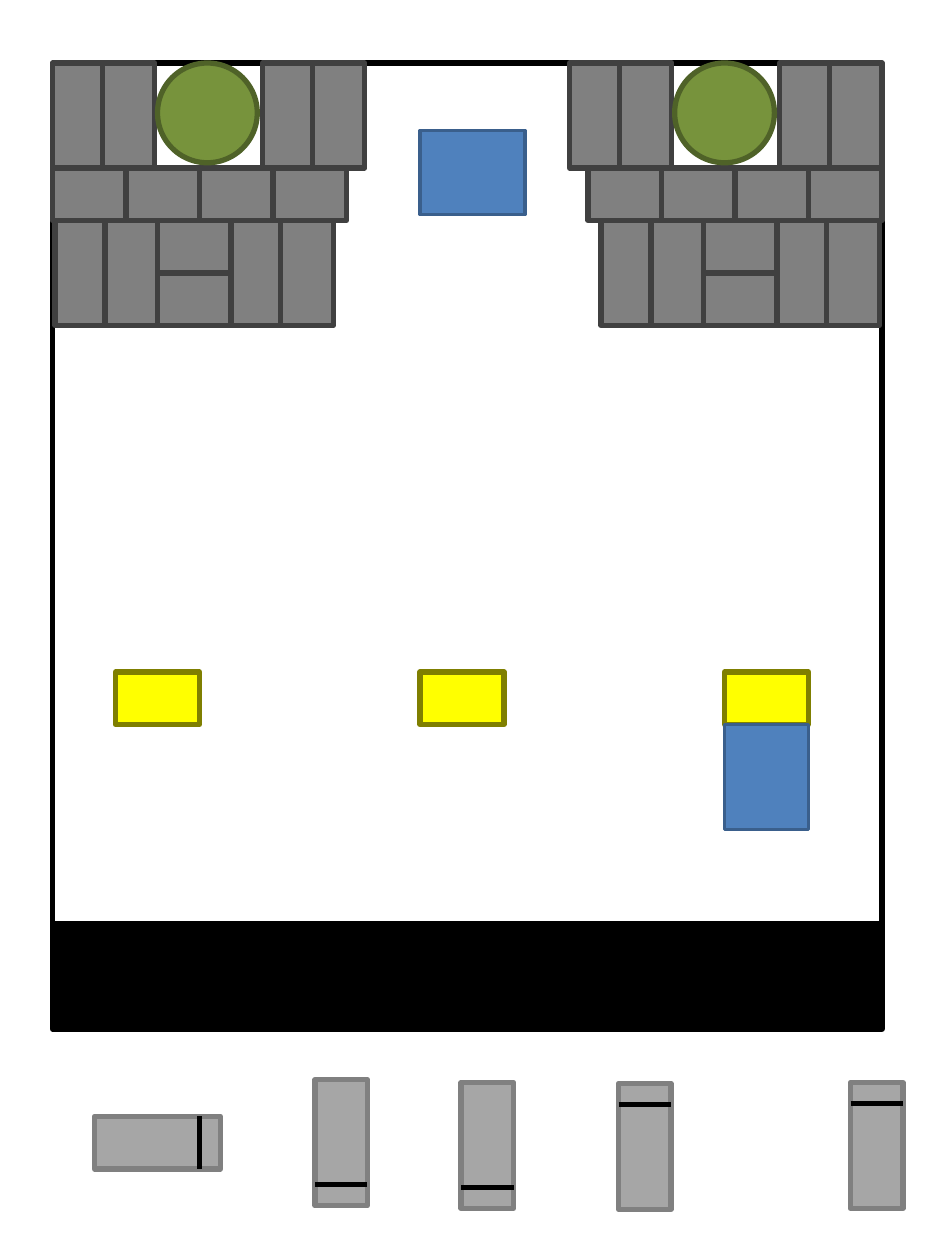
"""Build a floor plan with stone walls, trees, tables and loose benches."""
from lxml.etree import SubElement
from pptx import Presentation
from pptx.dml.color import RGBColor
from pptx.enum.shapes import MSO_CONNECTOR as Connector, MSO_SHAPE as Shape
from pptx.oxml.ns import qn
from pptx.util import Pt

BLACK = RGBColor(0x00, 0x00, 0x00)
STONE = RGBColor(0x80, 0x80, 0x80), RGBColor(0x40, 0x40, 0x40)
BENCH = RGBColor(0xA6, 0xA6, 0xA6), RGBColor(0x80, 0x80, 0x80)
TREE = RGBColor(0x77, 0x93, 0x3C), RGBColor(0x4F, 0x62, 0x28)
YELLOW = RGBColor(0xFF, 0xFF, 0x00), RGBColor(0x7F, 0x7F, 0x00)
BLUE = RGBColor(0x4F, 0x81, 0xBD), RGBColor(0x3A, 0x5F, 0x8C)
FLOOR = BLACK, BLACK

LEFT, RIGHT, TOP, BOTTOM = 30, 504, 36, 588
SHORT, LONG, BRICK, TREE_SIZE = 30, 60, 42, 57
BENCH_LENGTH, TABLE_WIDTH = 72, 48
STRIPE_GAP = 12

ROOM_EDGES = [
    (LEFT, TOP, RIGHT, TOP),
    (LEFT, TOP, LEFT, BOTTOM),
    (RIGHT, TOP, RIGHT, BOTTOM),
]
TABLE_LEFTS = [66, 240, 414]
TABLE_TOP = 384
FLAT_BENCH = (54, 638)
UPRIGHT_BENCHES = [
    (195, 653, "bottom"),
    (278.5, 654.5, "bottom"),
    (368.5, 655, "top"),
    (501, 654.5, "top"),
]
UPPER_STONES, UPPER_TREE, UPPER_SHIFT = [30, 58.5, 150, 178.5], 90, 295.5
MIDDLE_START, MIDDLE_COUNT, MIDDLE_SHIFT = 30, 4, 306
LOWER_STONES, LOWER_BRICK, LOWER_SHIFT = [31.5, 60, 132, 160.5], 90, 312


def add_block(shapes, left, top, width, height, colors,
              kind=Shape.RECTANGLE, weight=3, rotation=0):
    block = shapes.add_shape(kind, Pt(left), Pt(top), Pt(width), Pt(height))
    fill, edge = colors
    block.fill.solid()
    block.fill.fore_color.rgb = fill
    block.line.color.rgb = edge
    block.line.width = Pt(weight)
    block.shadow.inherit = False
    block.rotation = rotation


def add_line(shapes, x1, y1, x2, y2):
    line = shapes.add_connector(Connector.STRAIGHT, Pt(x1), Pt(y1), Pt(x2), Pt(y2))
    line.line.color.rgb = BLACK
    line.line.width = Pt(3)
    SubElement(line._element.spPr, qn("a:effectLst"))


def add_lower_wall(shapes, side):
    wall = shapes.add_group_shape().shapes
    middle_top = TOP + LONG
    lower_top = middle_top + SHORT
    for index in range(MIDDLE_COUNT):
        left = MIDDLE_START + index * BRICK + side * MIDDLE_SHIFT
        add_block(wall, left, middle_top, BRICK, SHORT, STONE)
    for left in LOWER_STONES:
        add_block(wall, left + side * LOWER_SHIFT, lower_top, SHORT, LONG, STONE)
    for row in range(2):
        add_block(wall, LOWER_BRICK + side * LOWER_SHIFT,
                  lower_top + row * SHORT, BRICK, SHORT, STONE)


def add_upper_wall(shapes, side):
    shift = side * UPPER_SHIFT
    for left in UPPER_STONES:
        add_block(shapes, left + shift, TOP, SHORT, LONG, STONE)
    add_block(shapes, UPPER_TREE + shift, TOP, TREE_SIZE, TREE_SIZE, TREE, Shape.OVAL)


def add_benches(shapes):
    left, top = FLAT_BENCH
    add_block(shapes, left, top, BENCH_LENGTH, SHORT, BENCH)
    stripe = left + BENCH_LENGTH - STRIPE_GAP
    add_line(shapes, stripe, top, stripe, top + SHORT)
    for center_x, center_y, end in UPRIGHT_BENCHES:
        add_block(shapes, center_x - BENCH_LENGTH / 2, center_y - SHORT / 2,
                  BENCH_LENGTH, SHORT, BENCH, rotation=270)
        reach = BENCH_LENGTH / 2 - STRIPE_GAP
        stripe = center_y + (reach if end == "bottom" else -reach)
        add_line(shapes, center_x - SHORT / 2, stripe, center_x + SHORT / 2, stripe)


def main():
    deck = Presentation()
    deck.slide_width, deck.slide_height = Pt(540), Pt(720)
    page = deck.slides.add_slide(deck.slide_layouts[6])
    shapes = page.shapes

    add_block(shapes, LEFT, BOTTOM - LONG, RIGHT - LEFT, LONG, FLOOR)
    for edge in ROOM_EDGES:
        add_line(shapes, *edge)
    for left in TABLE_LEFTS:
        add_block(shapes, left, TABLE_TOP, TABLE_WIDTH, SHORT, YELLOW)
    add_block(shapes, TABLE_LEFTS[-1], TABLE_TOP + SHORT, TABLE_WIDTH, LONG, BLUE, weight=2)
    add_benches(shapes)
    for side in range(2):
        add_lower_wall(shapes, side)
    for side in range(2):
        add_upper_wall(shapes, side)
    add_block(shapes, 246, 68.5, TABLE_WIDTH, LONG, BLUE, weight=2, rotation=270)
    deck.save("out.pptx")


if __name__ == "__main__":
    main()
